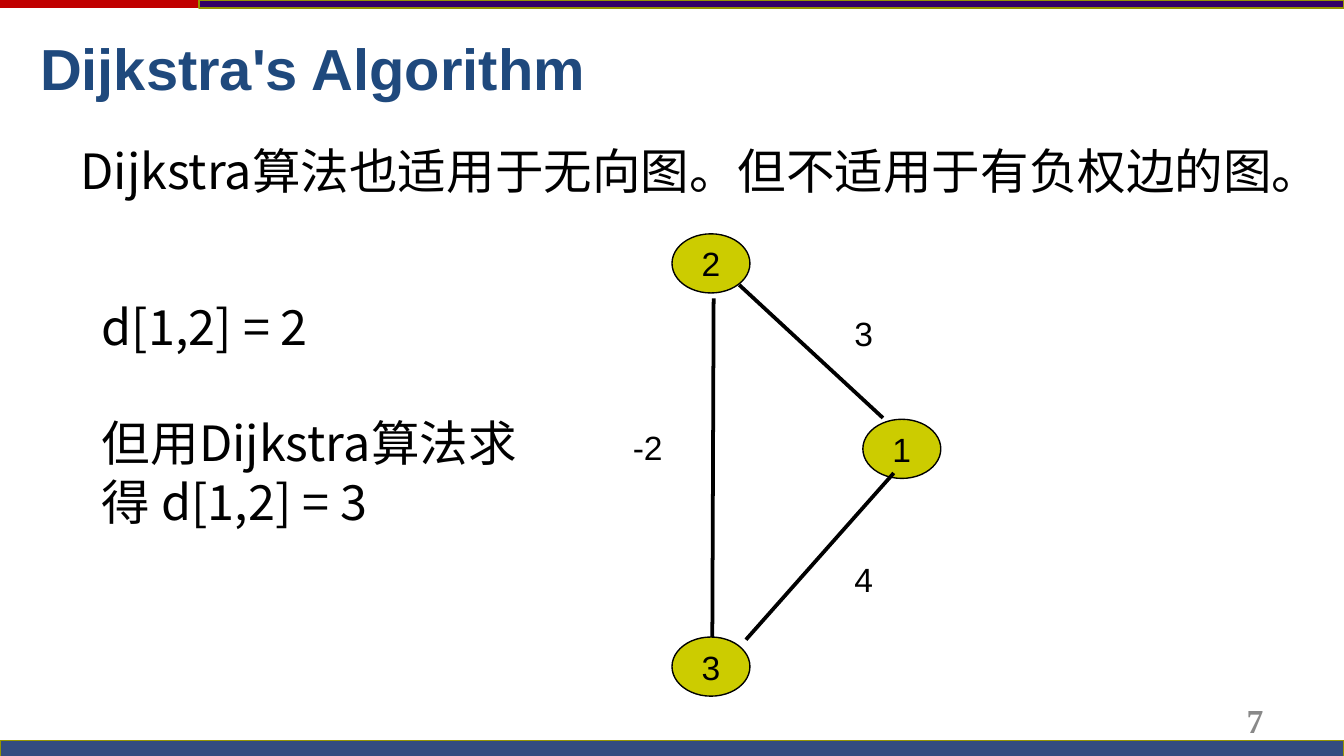
from lxml import etree
from pptx import Presentation
from pptx.dml.color import RGBColor
from pptx.enum.shapes import MSO_CONNECTOR, MSO_SHAPE
from pptx.enum.text import MSO_ANCHOR, PP_ALIGN
from pptx.oxml.ns import qn
from pptx.util import Inches, Pt

RECT, OVAL = MSO_SHAPE.RECTANGLE, MSO_SHAPE.OVAL
STRAIGHT = MSO_CONNECTOR.STRAIGHT
TOP, MIDDLE = MSO_ANCHOR.TOP, MSO_ANCHOR.MIDDLE
LEFT, CENTER, RIGHT = PP_ALIGN.LEFT, PP_ALIGN.CENTER, PP_ALIGN.RIGHT

COLORS = {
    "red": "C00000", "purple": "330066", "navy": "002060", "olive": "959500",
    "title": "1F497D", "number": "898989", "node": "CCCC00", "black": "000000",
}
STYLES = {
    "title": {"name": "Arial", "size": 31, "bold": True, "color": "title"},
    "body": {"name": "Noto Sans CJK SC", "size": 26, "bold": False, "color": "black"},
    "graph": {"name": "Arial", "size": 18, "bold": False, "color": "black"},
    "number": {"name": "Times New Roman", "size": 18, "bold": True, "color": "number"},
}

BARS = [
    ((0, 0, 10, 0.06), "red", None, 100),
    ((1.48, 0, 8.52, 0.06), "purple", "olive", 100),
    ((0, 5.51, 10, 0.12), "navy", "olive", 80),
]
TEXTS = [
    ((7.17, 5.21, 2.33, 0.3), ["7"], "number",
     {"align": RIGHT, "anchor": MIDDLE}),
    ((0.2, 0.29, 9, 0.52), ["Dijkstra's Algorithm"], "title", {"spacing": 0.8}),
    ((0.5, 1, 9.54, 0.97),
     ["Dijkstra算法也适用于无向图。但不适用于有负权边的图。"], "body", {"wrap": False}),
    ((0.66, 2.16, 3.55, 1.84),
     ["d[1,2] = 2", "但用Dijkstra算法求得 d[1,2] = 3"], "body", {"gap": 31.3}),
]
NODE_SIZE = (0.58, 0.44)
NODES = {"2": (5, 1.74), "3": (5, 4.74), "1": (6.42, 3.12)}
EDGES = [
    ((5.5, 2.12), (6.57, 3.11), "3", (6.26, 2.28, 0.34, 0.4)),
    ((6.65, 3.52), (5.55, 4.76), "4", (6.26, 4.11, 0.34, 0.4)),
    ((5.31, 2.22), (5.3, 4.74), "-2", (4.61, 3.13, 0.55, 0.4)),
]


def color(name):
    return RGBColor.from_string(COLORS[name])


def write(shape, lines, style, align=LEFT, anchor=TOP, wrap=True, spacing=None, gap=0):
    frame = shape.text_frame
    frame.word_wrap = wrap
    frame.vertical_anchor = anchor
    look = STYLES[style]
    values = {"name": look["name"], "size": Pt(look["size"]), "bold": look["bold"]}
    for index, line in enumerate(lines):
        para = frame.add_paragraph() if index else frame.paragraphs[0]
        para.alignment = align
        if spacing:
            para.line_spacing = spacing
        if index:
            para.space_before = Pt(gap)
        span = para.add_run()
        span.text = line
        for key, value in values.items():
            setattr(span.font, key, value)
        span.font.color.rgb = color(look["color"])
        latin = span.font._element.find(qn("a:latin"))
        east_asian = etree.Element(qn("a:ea"), typeface=look["name"])
        latin.addnext(east_asian)


def add_filled(page, kind, place, fill, line=None, width=0):
    shape = page.shapes.add_shape(kind, *map(Inches, place))
    shape.shadow.inherit = False
    shape.fill.solid()
    shape.fill.fore_color.rgb = color(fill)
    if line:
        shape.line.color.rgb = color(line)
        shape.line.width = Pt(width)
    else:
        shape.line.fill.background()
    return shape


def add_text(page, place, lines, style, **layout):
    box = page.shapes.add_textbox(*map(Inches, place))
    write(box, lines, style, **layout)


def add_edge(page, start, end):
    edge = page.shapes.add_connector(STRAIGHT, *map(Inches, start + end))
    edge.line.color.rgb = color("black")
    edge.line.width = Pt(2)
    etree.SubElement(edge._element.spPr, qn("a:effectLst"))


def main():
    deck = Presentation()
    deck.slide_width = Inches(10)
    deck.slide_height = deck.slide_width * 9 // 16
    page = deck.slides.add_slide(deck.slide_layouts[6])

    for place, fill, line, opacity in BARS:
        bar = add_filled(page, RECT, place, fill, line)
        if opacity < 100:
            tint = bar._element.spPr.find(qn("a:solidFill"))[0]
            etree.SubElement(tint, qn("a:alpha"), val=str(opacity * 1000))

    for place, lines, style, layout in TEXTS:
        add_text(page, place, lines, style, **layout)

    for label, corner in NODES.items():
        node = add_filled(page, OVAL, corner + NODE_SIZE, "node", "black", 0.75)
        write(node, [label], "graph", align=CENTER, anchor=MIDDLE, wrap=False)

    for start, end, weight, place in EDGES:
        add_edge(page, start, end)
        add_text(page, place, [weight], "graph")

    deck.save("out.pptx")


if __name__ == "__main__":
    main()
